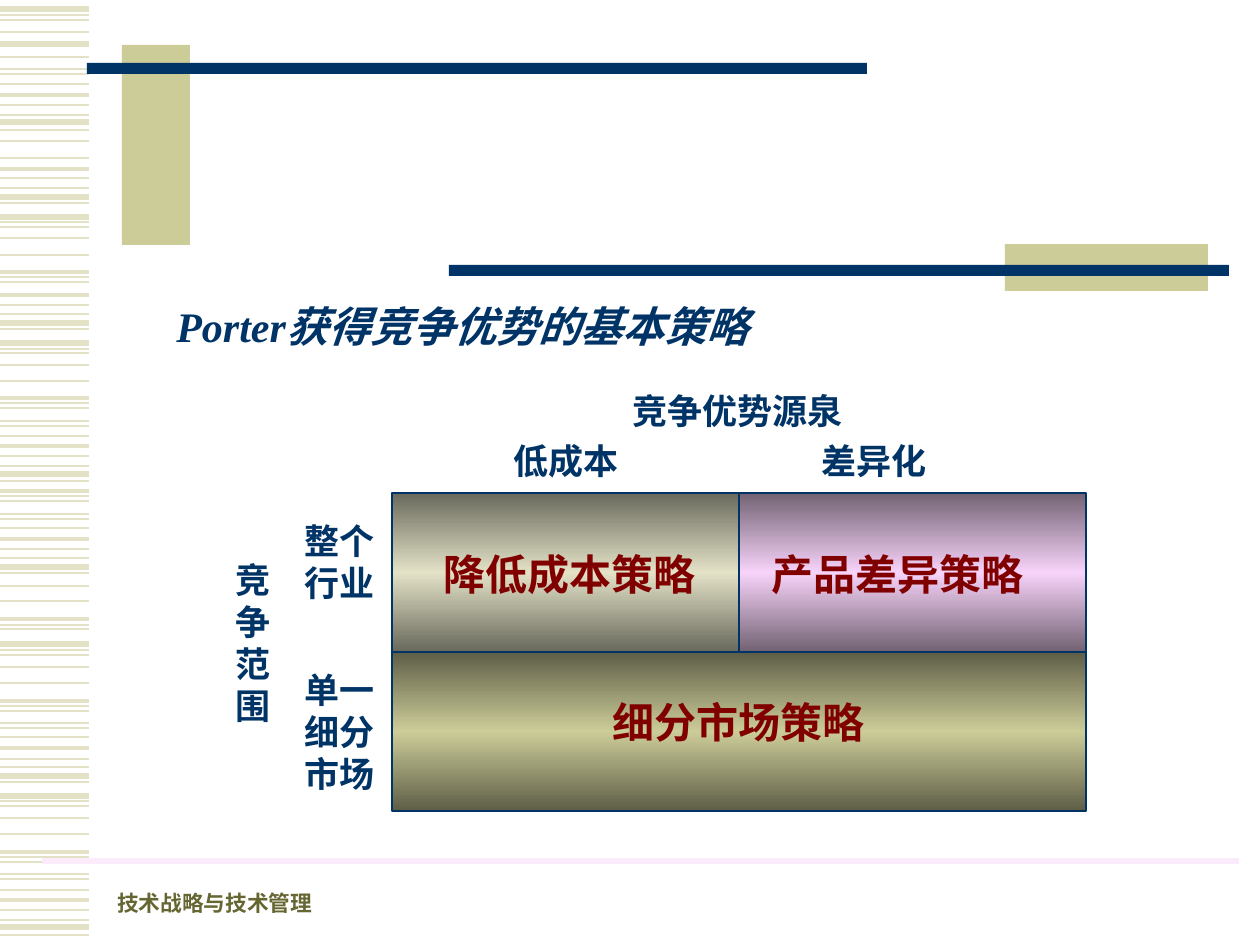
from copy import deepcopy
from pptx import Presentation
from pptx.dml.color import RGBColor as RGB
from pptx.enum.shapes import MSO_CONNECTOR as Connector, MSO_SHAPE as Shape
from pptx.enum.text import MSO_ANCHOR as Anchor, MSO_AUTO_SIZE as AutoSize
from pptx.oxml.ns import qn
from pptx.oxml.xmlchemy import OxmlElement
from pptx.util import Pt

PX = 914400 / 126
COLORS = {
    "stripe": "E3E2C7", "tan": "CCCC99", "navy": "003366", "pink": "FBEBFB",
    "olive": "666633", "maroon": "800000", "sand_edge": "69695C",
    "tan_edge": "5E5E47", "lilac": "F7D3F9", "lilac_edge": "726273",
}
COLORS = {name: RGB.from_string(value) for name, value in COLORS.items()}

deck = Presentation()
deck.slide_width, deck.slide_height = round(1260 * PX), round(945 * PX)
slide = deck.slides.add_slide(deck.slide_layouts[6])


def rule(left, right, y, color, weight):
    ends = [round(v * PX) for v in (left, y, right, y)]
    line = slide.shapes.add_connector(Connector.STRAIGHT, *ends)
    line.line.color.rgb = COLORS[color]
    line.line.width = Pt(weight)
    line._element.spPr.append(OxmlElement("a:effectLst"))


def rect(*box):
    block = slide.shapes.add_shape(Shape.RECTANGLE, *[round(v * PX) for v in box])
    block.shadow.inherit = False
    return block


# Striped left margin: line weight in points -> heights
STRIPES = {
    3: [9, 44, 122, 197, 217, 323, 343, 474, 567, 644, 776, 796, 927],
    2.25: [95, 169, 272, 295, 398, 446, 491, 539, 619, 701, 748, 852, 900],
    1.5: [57, 74, 105, 130, 178, 203, 282, 305, 329, 408, 426, 456, 481,
          501, 519, 549, 573, 629, 711, 728, 759, 782, 862, 879, 910, 935],
    1: [20, 32, 84, 141, 158, 227, 238, 255, 353, 365, 381, 436, 528,
        586, 601, 655, 667, 683, 737, 806, 818, 834, 890],
    0.75: [15, 69, 115, 188, 222, 277, 314, 349, 403, 421, 466, 496, 514,
           558, 625, 650, 706, 723, 767, 801, 857, 874, 920],
}
for weight, heights in STRIPES.items():
    for y in heights:
        rule(0, 89, y, "stripe", weight)

# Header bars
for box, color in [
    ((122, 45, 68, 200), "tan"),
    ((87, 63, 780, 11), "navy"),
    ((1005, 244, 203, 47), "tan"),
    ((449, 265, 780, 11), "navy"),
]:
    bar = rect(*box)
    bar.fill.solid()
    bar.fill.fore_color.rgb = COLORS[color]
    bar.line.fill.background()

# Footer rule
rule(42, 1239, 861, "pink", 3)

# Strategy matrix: column, row, columns spanned, edge and middle colours
LEFT, TOP, CELL_W, CELL_H = 392, 493, 347, 159
for column, row, span, edge, middle in [
    (0, 0, 1, "sand_edge", "stripe"),
    (0, 1, 2, "tan_edge", "tan"),
    (1, 0, 1, "lilac_edge", "lilac"),
]:
    cell = rect(LEFT + column * CELL_W, TOP + row * CELL_H, span * CELL_W, CELL_H)
    cell.line.color.rgb = COLORS["navy"]
    cell.line.width = Pt(0.75)
    cell.fill.gradient()
    cell.fill.gradient_angle = 90
    stops = cell._element.spPr.find(qn("a:gradFill")).find(qn("a:gsLst"))
    stops.append(deepcopy(stops[0]))
    for stop, place, color in zip(cell.fill.gradient_stops, (0, 0.5, 1), (edge, middle, edge)):
        stop.position = place
        stop.color.rgb = COLORS[color]

# Text: footer, title, strategies, row and column headings
FORMATS = {
    "footer": {"size": Pt(12.4)},
    "title": {"size": Pt(24), "italic": True},
    "strategy": {"size": Pt(24)},
    "heading": {"size": Pt(20)},
}
INKS = {"footer": "olive", "title": "navy", "strategy": "maroon", "heading": "navy"}
SPACE_BEFORE = {"footer": 0, "title": 15, "strategy": 15, "heading": 12.5}
for words, role, box in [
    ("技术战略与技术管理", "footer", (105, 879, 328, 43)),
    ("Porter获得竞争优势的基本策略", "title", (164, 294, 753, 63)),
    ("降低成本策略", "strategy", (431, 542, 307, 63)),
    ("产品差异策略", "strategy", (759, 542, 307, 63)),
    ("细分市场策略", "strategy", (600, 690, 307, 63)),
    ("整个行业", "heading", (292, 513, 100, 97)),
    ("单一细分市场", "heading", (292, 662, 100, 139)),
    ("竞争范围", "heading", (223, 552, 79, 181)),
    ("低成本", "heading", (501, 433, 159, 55)),
    ("差异化", "heading", (809, 433, 159, 55)),
    ("竞争优势源泉", "heading", (620, 383, 258, 55)),
]:
    frame = slide.shapes.add_textbox(*[round(v * PX) for v in box]).text_frame
    frame.word_wrap = True
    if role == "footer":
        frame.vertical_anchor = Anchor.BOTTOM
    else:
        frame.auto_size = AutoSize.SHAPE_TO_FIT_TEXT
    paragraph = frame.paragraphs[0]
    paragraph.space_before = Pt(SPACE_BEFORE[role])
    run = paragraph.add_run()
    run.text = words
    for name, value in {"name": "Times New Roman", "bold": True, **FORMATS[role]}.items():
        setattr(run.font, name, value)
    run.font.color.rgb = COLORS[INKS[role]]

deck.save("out.pptx")
